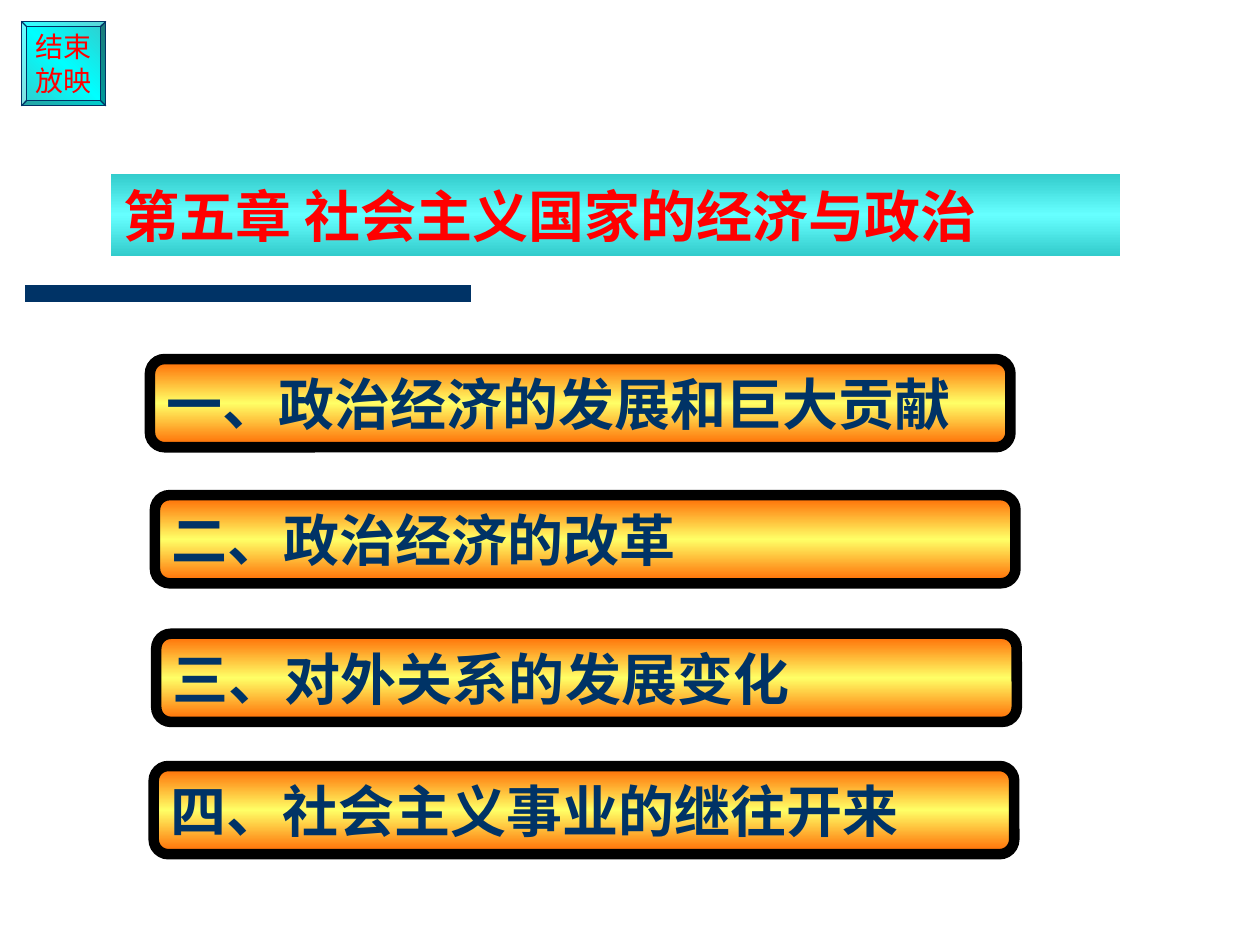
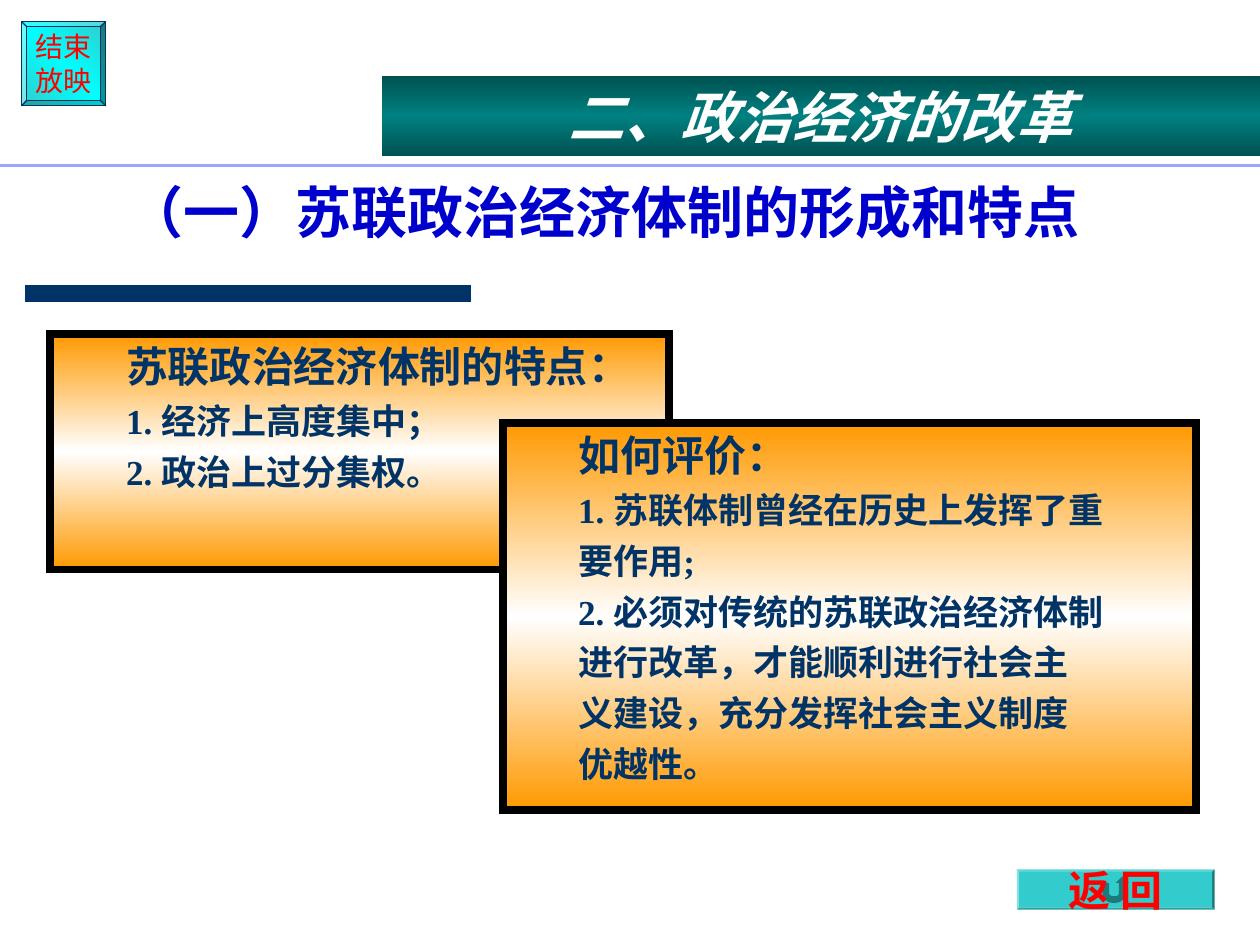
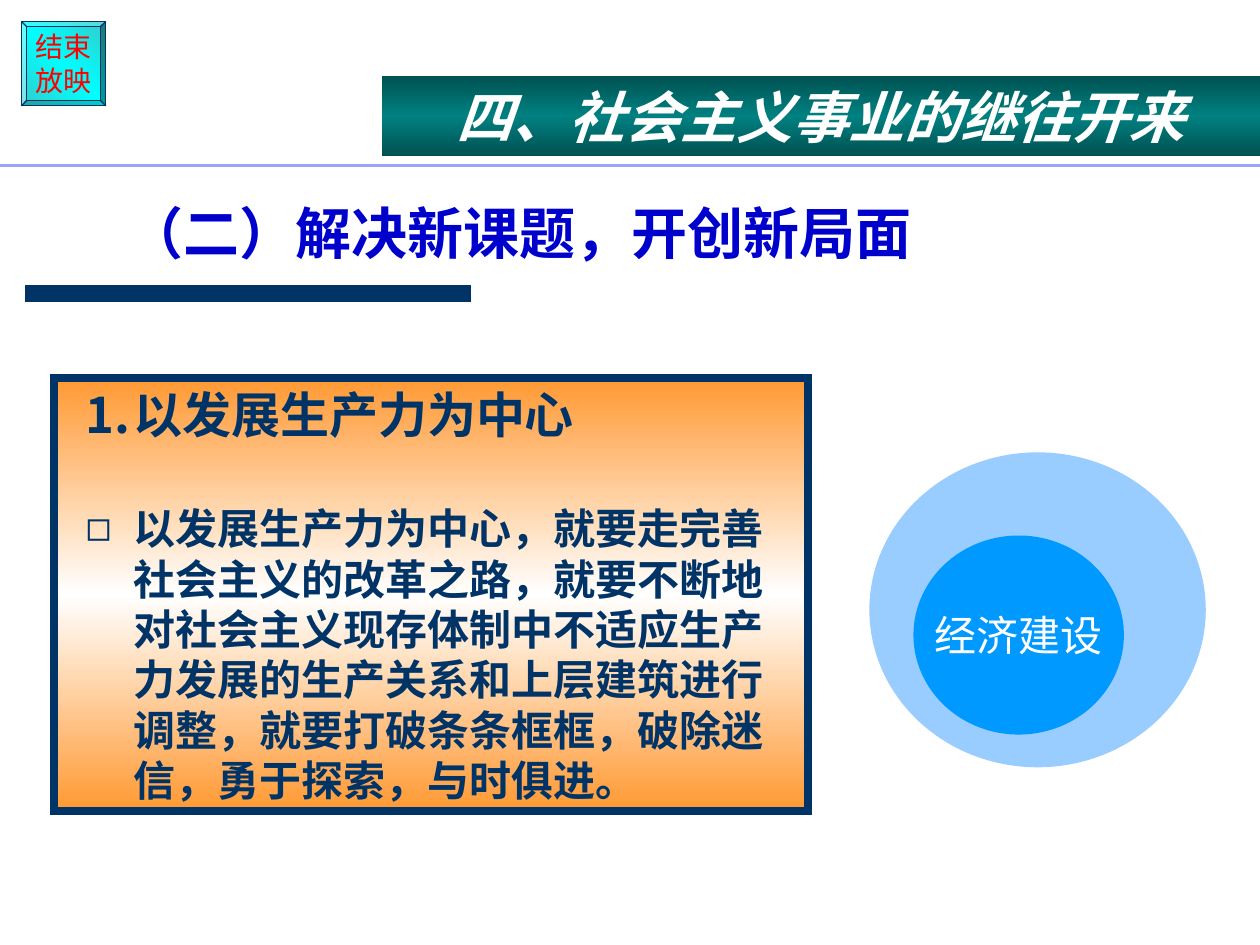
import itertools
from dataclasses import dataclass

import pptx
import pptx.dml.color
import pptx.enum.shapes
import pptx.enum.text
import pptx.oxml
import pptx.oxml.ns
import pptx.util
from copy import deepcopy

Inches = pptx.util.Inches
Pt = pptx.util.Pt
SHAPE = pptx.enum.shapes.MSO_SHAPE
ANCHOR = pptx.enum.text.MSO_ANCHOR
ALIGN = pptx.enum.text.PP_ALIGN
qn = pptx.oxml.ns.qn

TITLE_AND_BODY, TITLE_ONLY = 1, 5


@dataclass(frozen=True)
class Theme:
    navy: str = "003366"
    red: str = "FF0000"
    blue: str = "0000CC"
    white: str = "FFFFFF"
    black: str = "000000"
    rule: str = "9BA4FD"
    teal: str = "33CCCC"
    pale_blue: str = "99CCFF"
    bright_blue: str = "0099FF"
    # (edge, middle) of each gradient
    button: tuple = ("33CCCC", "00FFFF")
    chapter: tuple = ("33CCCC", "66FFFF")
    topic: tuple = ("FF6600", "FFFF66")
    card: tuple = ("FF9900", "FFFFFF")
    soft_card: tuple = ("FF9933", "FFFFFF")
    band: tuple = ("005151", "008080")
    heading: int = 32
    subheading: int = 28
    lead: int = 24
    detail: int = 20
    small: int = 16
    cjk: str = "Noto Sans CJK SC"
    sans: str = "Arial"
    serif: str = "Times New Roman"


THEME = Theme()


def rgb(code):
    return pptx.dml.color.RGBColor.from_string(code)


def child(parent, tag, **attributes):
    element = parent.makeelement(qn(tag), attributes)
    parent.append(element)
    return element


def write(frame, text, *, size, color=THEME.navy, font=THEME.sans, ascii_font=None,
          bold=False, italic=False, align=ALIGN.LEFT, line_spacing=1.0,
          space_before=0, margin=0, first_line=0, bullet=None):
    """Add one paragraph; bullet is a (tag, attributes) pair."""
    paragraph = frame.paragraphs[0]
    if paragraph.runs:
        paragraph = frame.add_paragraph()
    paragraph.alignment = align
    paragraph.line_spacing = line_spacing
    paragraph.space_before = Pt(space_before)
    properties = paragraph._p.get_or_add_pPr()
    properties.set("marL", str(Inches(margin)))
    properties.set("indent", str(Inches(first_line)))
    if bullet:
        tag, attributes = bullet
        child(child(properties, "a:buClr"), "a:srgbClr", val=color)
        child(properties, tag, **attributes)
    else:
        child(properties, "a:buNone")
    for is_ascii, letters in itertools.groupby(text, str.isascii if ascii_font else bool):
        run = paragraph.add_run()
        run.text = "".join(letters)
        run.font.size = Pt(size)
        run.font.bold = bold
        run.font.italic = italic
        run.font.color.rgb = rgb(color)
        run.font.name = ascii_font if ascii_font and is_ascii else font
        child(run._r.get_or_add_rPr(), "a:ea", typeface=THEME.cjk)


class Deck:
    def __init__(self, theme):
        self.theme = theme
        self.file = pptx.Presentation()
        self.file.slide_width, self.file.slide_height = Inches(10), Inches(7.5)
        self.slide = None

    def new_slide(self, layout):
        """Start a slide with the shared rule and the end-show button."""
        self.slide = self.file.slides.add_slide(self.file.slide_layouts[layout])
        self.line(0.2, 3.74, 2.33, self.theme.navy, 10)
        button = self.bevel((0.17, 0.17, 0.67, 0.67), self.theme.button, self.theme.navy, 0.75)
        for word in ("结束", "放映"):
            write(button.text_frame, word, size=self.theme.small, color=self.theme.red,
                  align=ALIGN.CENTER)

    def line(self, left, right, y, color, width):
        rule = self.slide.shapes.add_connector(
            pptx.enum.shapes.MSO_CONNECTOR.STRAIGHT,
            Inches(left), Inches(y), Inches(right), Inches(y))
        rule.line.color.rgb = rgb(color)
        rule.line.width = Pt(width)
        child(rule._element.spPr, "a:effectLst")

    def paint(self, shape, fill, line=None, width=0, angle=90):
        """Fill with one colour, or with an (edge, middle) gradient."""
        if isinstance(fill, tuple):
            edge, middle = fill
            shape.fill.gradient()
            shape.fill.gradient_angle = 360 - angle
            stops = shape._element.spPr.find(qn("a:gradFill")).find(qn("a:gsLst"))
            stops.append(deepcopy(stops[0]))
            for stop, position, color in zip(shape.fill.gradient_stops, (0, 0.5, 1),
                                             (edge, middle, edge)):
                stop.position = position
                stop.color.rgb = rgb(color)
        else:
            shape.fill.solid()
            shape.fill.fore_color.rgb = rgb(fill)
        if line:
            shape.line.color.rgb = rgb(line)
            shape.line.width = Pt(width)
            child(shape._element.spPr.find(qn("a:ln")), "a:miter", lim="800000")
        else:
            shape.line.fill.background()

    def frame(self, shape, anchor, wrap=True):
        shape.text_frame.word_wrap = wrap
        shape.text_frame.auto_size = pptx.enum.text.MSO_AUTO_SIZE.NONE
        shape.text_frame.vertical_anchor = anchor

    def shape(self, kind, box, fill, line=None, width=0, angle=90,
              anchor=ANCHOR.MIDDLE, wrap=True):
        shape = self.slide.shapes.add_shape(kind, *map(Inches, box))
        shape.shadow.inherit = False
        self.paint(shape, fill, line, width, angle)
        self.frame(shape, anchor, wrap)
        return shape

    def bevel(self, box, fill, line=None, width=0):
        bevel = self.shape(SHAPE.BEVEL, box, fill, line, width, angle=135, wrap=False)
        bevel.adjustments[0] = 0.06
        return bevel

    def place(self, placeholder, box, anchor):
        placeholder.left, placeholder.top, placeholder.width, placeholder.height = map(Inches, box)
        self.frame(placeholder, anchor)
        return placeholder

    def title(self, text, box, color):
        title = self.place(self.slide.shapes.title, box, ANCHOR.BOTTOM)
        write(title.text_frame, text, size=self.theme.heading, color=color,
              font=self.theme.cjk, bold=True, line_spacing=0.9)
        return title

    def body(self, box, fill, line, anchor=ANCHOR.TOP):
        body = self.place(self.slide.placeholders[1], box, anchor)
        self.paint(body, fill, line, 4.5)
        return body

    def band(self, text):
        """Section band at the top right, with the thin rule under it."""
        band = self.shape(SHAPE.RECTANGLE, (3.03, 0.6, 6.97, 0.64), self.theme.band)
        write(band.text_frame, text, size=self.theme.heading, color=self.theme.white,
              font=self.theme.cjk, bold=True, italic=True, align=ALIGN.CENTER)
        self.line(0, 10, 1.31, self.theme.rule, 1.75)

    def topic(self, text, left, top):
        topic = self.shape(SHAPE.ROUNDED_RECTANGLE, (left, top, 6.83, 0.7),
                           self.theme.topic, self.theme.black, 6)
        write(topic.text_frame, text, size=self.theme.heading, font=self.theme.cjk, bold=True)

    def points(self, shape, heading, lines):
        indent = dict(margin=1, first_line=-0.5, bold=True)
        write(shape.text_frame, heading, size=self.theme.lead, **indent)
        for line in lines:
            write(shape.text_frame, line, size=self.theme.detail, space_before=5,
                  ascii_font=self.theme.serif, **indent)


def chapter_slide(deck):
    deck.new_slide(TITLE_ONLY)
    chapter = deck.title("第五章 社会主义国家的经济与政治", (0.88, 1.38, 8.01, 0.65), THEME.red)
    deck.paint(chapter, THEME.chapter)
    for text, left, top in (("一、政治经济的发展和巨大贡献", 1.19, 2.85),
                            ("二、政治经济的改革", 1.23, 3.93),
                            ("三、对外关系的发展变化", 1.24, 5.03),
                            ("四、社会主义事业的继往开来", 1.22, 6.08)):
        deck.topic(text, left, top)


def reform_slide(deck):
    deck.new_slide(TITLE_AND_BODY)
    deck.title("（一）苏联政治经济体制的形成和特点", (0.91, 0.91, 8.51, 1.09), THEME.blue)
    features = deck.body((0.4, 2.65, 4.91, 1.87), THEME.card, THEME.black)
    deck.points(features, "苏联政治经济体制的特点：",
                ("1. 经济上高度集中；", "2. 政治上过分集权。"))
    evaluation = deck.shape(SHAPE.RECTANGLE, (3.99, 3.36, 5.5, 3.07), THEME.card,
                            THEME.black, 4.5, anchor=ANCHOR.TOP)
    deck.points(evaluation, "如何评价：",
                ("1. 苏联体制曾经在历史上发挥了重", "要作用;",
                 "2. 必须对传统的苏联政治经济体制", "进行改革，才能顺利进行社会主",
                 "义建设，充分发挥社会主义制度", "优越性。"))
    deck.bevel((8.07, 6.9, 1.57, 0.32), THEME.teal)
    back = deck.shape(SHAPE.ACTION_BUTTON_RETURN, (8.09, 6.92, 1.53, 0.28), THEME.teal, wrap=False)
    write(back.text_frame, "返 回", size=THEME.lead, color=THEME.red, bold=True,
          align=ALIGN.CENTER)
    deck.band("二、政治经济的改革")


def future_slide(deck):
    deck.new_slide(TITLE_AND_BODY)
    deck.title("（二）解决新课题，开创新局面", (0.91, 1.08, 8.51, 1.09), THEME.blue)
    deck.shape(SHAPE.OVAL, (6.9, 3.59, 2.67, 2.5), THEME.pale_blue)
    economy = deck.shape(SHAPE.OVAL, (7.25, 4.25, 1.67, 1.58), THEME.bright_blue, wrap=False)
    write(economy.text_frame, "经济建设", size=THEME.lead, color=THEME.white, align=ALIGN.CENTER)
    policy = deck.body((0.43, 3, 5.98, 3.44), THEME.soft_card, THEME.navy, ANCHOR.MIDDLE)
    policy.text_frame.margin_left = Inches(0.25)
    policy.text_frame.margin_right = Inches(0.05)
    hanging = dict(margin=0.38, first_line=-0.38, bold=True)
    write(policy.text_frame, "以发展生产力为中心", size=THEME.subheading, font=THEME.cjk,
          bullet=("a:buAutoNum", {"type": "arabicPeriod"}), **hanging)
    write(policy.text_frame,
          "以发展生产力为中心，就要走完善社会主义的改革之路，就要不断地对社会主义现存体制中"
          "不适应生产力发展的生产关系和上层建筑进行调整，就要打破条条框框，破除迷信，"
          "勇于探索，与时俱进。",
          size=THEME.lead, space_before=34, bullet=("a:buChar", {"char": "◻"}), **hanging)
    deck.band("四、社会主义事业的继往开来")


def main():
    deck = Deck(THEME)
    chapter_slide(deck)
    reform_slide(deck)
    future_slide(deck)
    deck.file.save("out.pptx")


if __name__ == "__main__":
    main()
